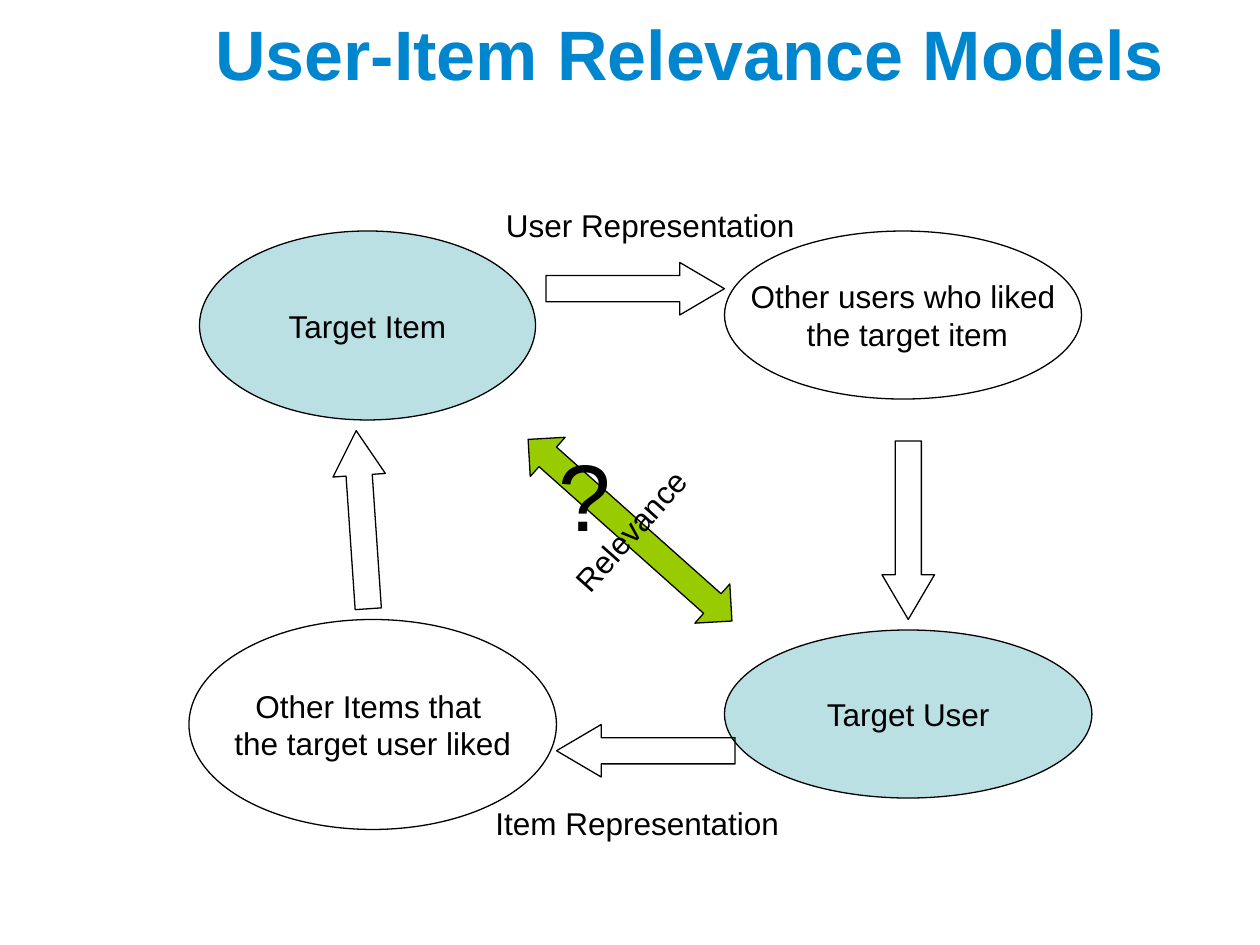
from dataclasses import dataclass

from pptx import Presentation
from pptx.dml.color import RGBColor
from pptx.enum.shapes import MSO_SHAPE
from pptx.enum.text import MSO_ANCHOR, PP_ALIGN
from pptx.util import Inches, Pt

ELLIPSE = MSO_SHAPE.OVAL
ARROW = MSO_SHAPE.RIGHT_ARROW
DOUBLE_ARROW = MSO_SHAPE.UP_DOWN_ARROW
LEFT, CENTER, RIGHT = PP_ALIGN.LEFT, PP_ALIGN.CENTER, PP_ALIGN.RIGHT
TOP, MIDDLE = MSO_ANCHOR.TOP, MSO_ANCHOR.MIDDLE


@dataclass(frozen=True)
class Theme:
    font: str = "Arial"
    title: str = "0086CE"
    ink: str = "000000"
    target: str = "BBE0E3"
    relevance: str = "99CC00"
    title_size: int = 40
    body_size: int = 18
    question_size: int = 54
    line_width: float = 0.75


THEME = Theme()
WIDTH, HEIGHT = 10, 7.5
COLUMNS, ROWS = 120, 90

TITLE = ("User-Item Relevance Models", (12, 1.8, 100, 6.4))
NODES = [
    (["Other Items that ", "the target user liked"], (18, 59, 35, 20), None),
    (["Other users who liked", " the target item"], (69, 22, 34, 16), None),
    (["Target Item"], (19, 22, 32, 18), THEME.target),
    (["Target User"], (69, 60, 35, 16), THEME.target),
]
RELEVANCE = ("Relevance", (57.5, 37.5, 5, 26), 131.7)
QUESTION = ("?", (52, 41, 17, 12))
SHAFT, HEAD, DOUBLE_HEAD = 0.5, 0.85, 1.04
ARROW_SIZE = (17, 5)
ARROWS = [((53, 69), 180), ((26, 47), 266.1), ((78, 48), 90), ((52, 25), 0)]
LABELS = [
    ("Item Representation", (46, 76, 45, 4.8)),
    ("User Representation", (47, 19, 36, 4.8)),
]


def place(box):
    column, row, columns, rows = box
    return (
        Inches(column * WIDTH / COLUMNS),
        Inches(row * HEIGHT / ROWS),
        Inches(columns * WIDTH / COLUMNS),
        Inches(rows * HEIGHT / ROWS),
    )


def write(shape, lines, size=THEME.body_size, color=THEME.ink, bold=False,
          align=CENTER, anchor=MIDDLE, wrap=False):
    frame = shape.text_frame
    frame.word_wrap = wrap
    frame.vertical_anchor = anchor
    for index, line in enumerate(lines):
        paragraph = frame.add_paragraph() if index else frame.paragraphs[0]
        paragraph.alignment = align
        run = paragraph.add_run()
        run.text = line
        run.font.name = THEME.font
        run.font.size = Pt(size)
        run.font.bold = bold
        run.font.color.rgb = RGBColor.from_string(color)


def add_outline(slide, kind, box, fill=None, rotation=0, adjustments=()):
    shape = slide.shapes.add_shape(kind, *place(box))
    shape.shadow.inherit = False
    shape.rotation = rotation
    for index, value in enumerate(adjustments):
        shape.adjustments[index] = value
    if fill:
        shape.fill.solid()
        shape.fill.fore_color.rgb = RGBColor.from_string(fill)
    else:
        shape.fill.background()
    shape.line.color.rgb = RGBColor.from_string(THEME.ink)
    shape.line.width = Pt(THEME.line_width)
    return shape


def add_text(slide, text, box, **style):
    write(slide.shapes.add_textbox(*place(box)), [text], wrap=True, **style)


def main():
    presentation = Presentation()
    presentation.slide_width = Inches(WIDTH)
    presentation.slide_height = Inches(HEIGHT)
    slide = presentation.slides.add_slide(presentation.slide_layouts[6])

    add_text(slide, *TITLE, size=THEME.title_size, color=THEME.title,
             bold=True, align=RIGHT)
    for lines, box, fill in NODES:
        write(add_outline(slide, ELLIPSE, box, fill), lines)

    text, box, rotation = RELEVANCE
    relevance = add_outline(slide, DOUBLE_ARROW, box, THEME.relevance,
                            rotation, (DOUBLE_HEAD, SHAFT))
    write(relevance, [text])
    relevance.text_frame._txBody.bodyPr.set("rot", str(180 * 60000))

    add_text(slide, *QUESTION, size=THEME.question_size, align=LEFT, anchor=TOP)
    for corner, rotation in ARROWS:
        add_outline(slide, ARROW, corner + ARROW_SIZE, rotation=rotation,
                    adjustments=(SHAFT, HEAD))
    for text, box in LABELS:
        add_text(slide, text, box, align=LEFT, anchor=TOP)

    presentation.save("out.pptx")


if __name__ == "__main__":
    main()
